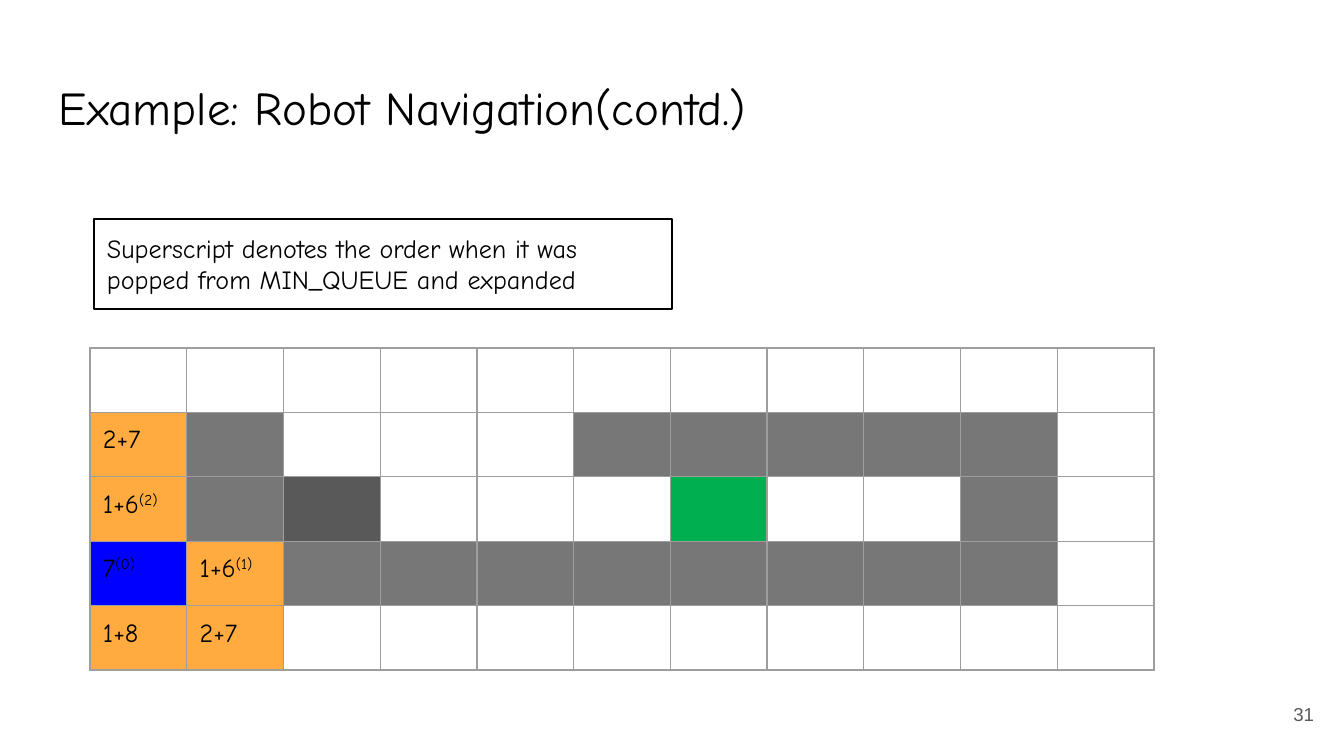
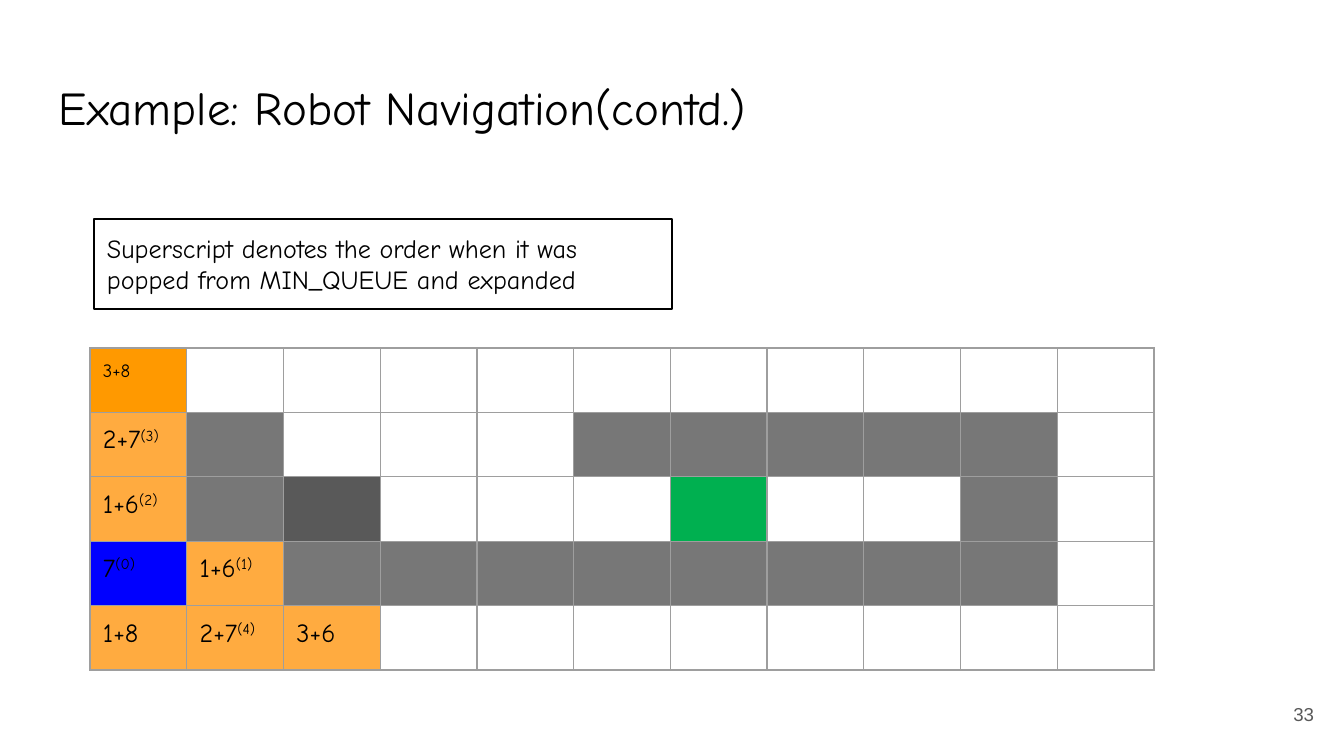
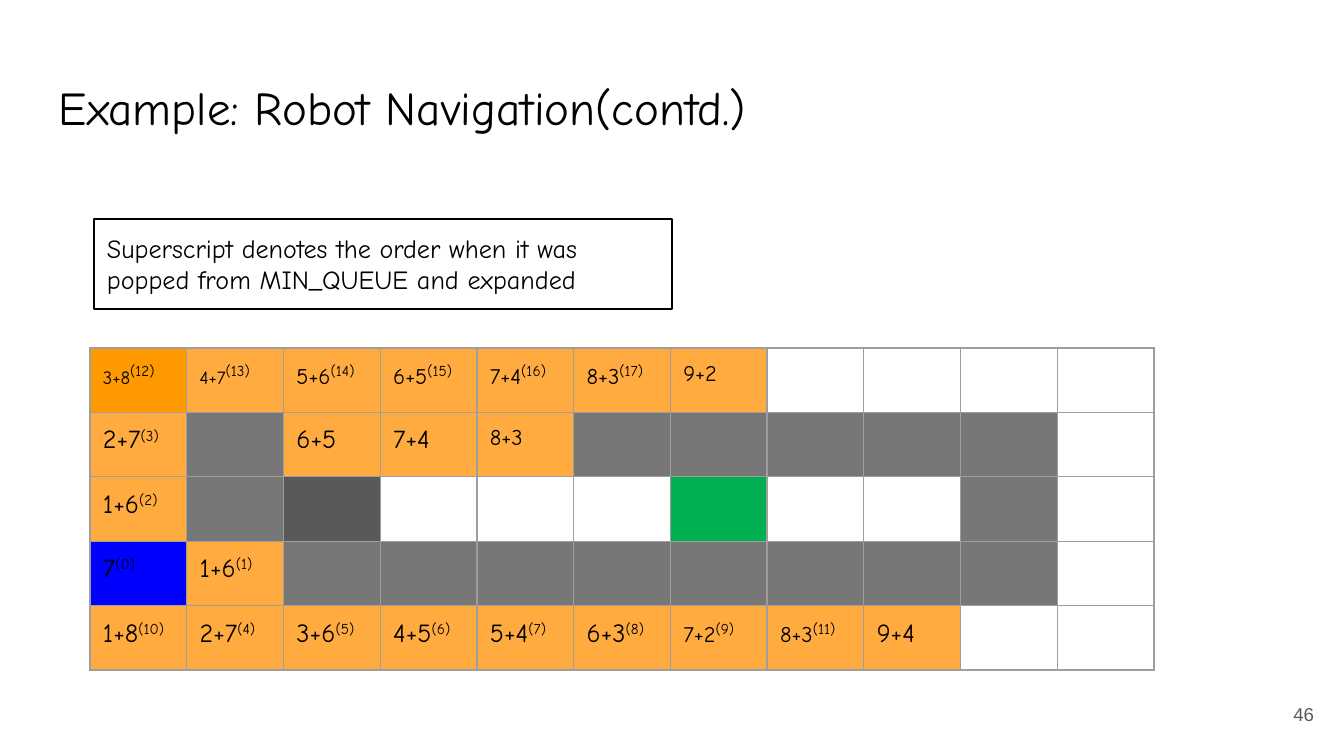
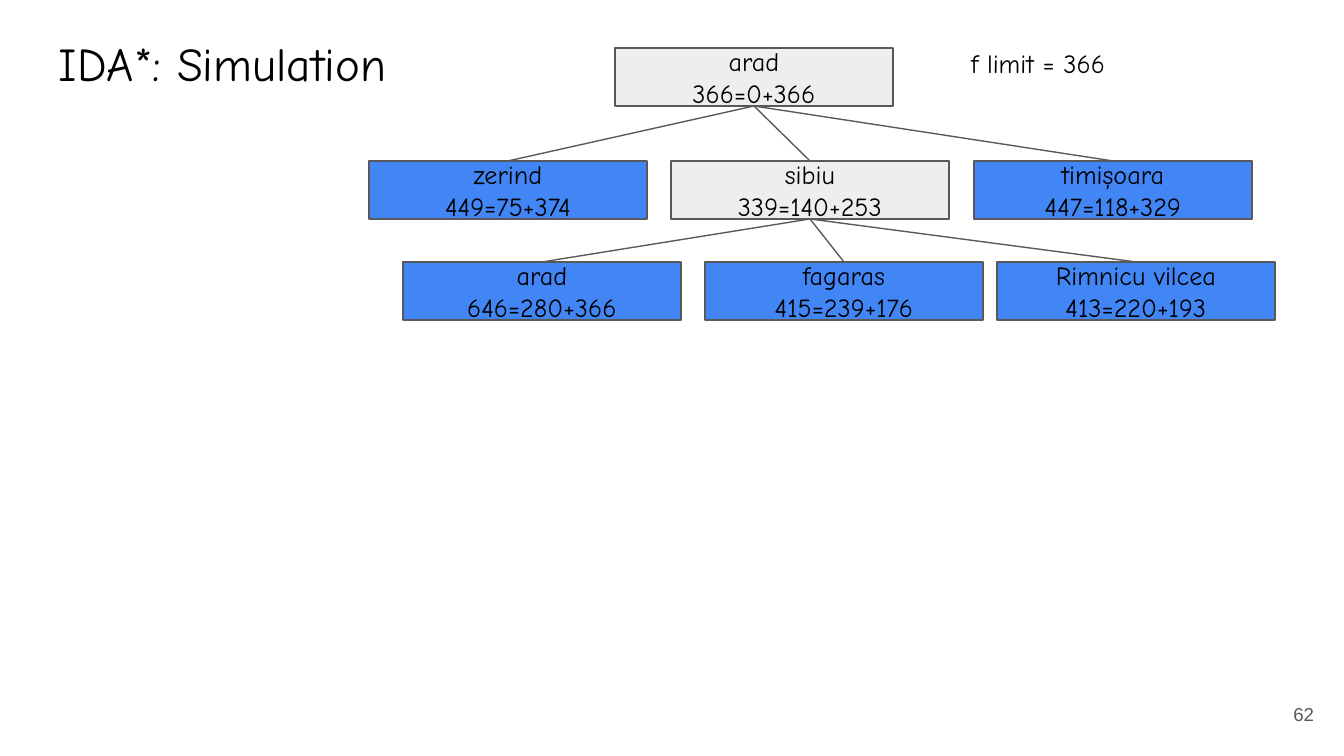
import pptx
import pptx.util
import pptx.dml.color
import pptx.enum.shapes
import pptx.enum.text
import pptx.oxml.ns
from lxml import etree

COLORS = {
    "black": "000000", "white": "FFFFFF", "line": "595959", "edge": "9E9E9E",
    "wall": "777777", "dark": "595959", "goal": "00B050", "start": "0000FF",
    "open": "FFAB40", "corner": "FF9900", "leaf": "4285F4", "path": "EEEEEE",
}
HAND, SANS = "Comic Neue", "Arial"
BODY = 14
PAD = 13
ALIGN = pptx.enum.text.PP_ALIGN
ANCHOR = pptx.enum.text.MSO_ANCHOR
RECT = pptx.enum.shapes.MSO_SHAPE.RECTANGLE

MAZE = [
    "...........",
    ".#...#####.",
    ".#d...g..#.",
    "s.########.",
    "...........",
]
KINDS = {".": "white", "#": "wall", "d": "dark", "g": "goal", "s": "start"}

# Each label is cost^order@size; "-" leaves a cell empty.
STEPS = [
    (31, ["", "2+7", "1+6^2", "7^0 1+6^1", "1+8 2+7"]),
    (33, ["3+8@10", "2+7^3", "1+6^2", "7^0 1+6^1", "1+8 2+7^4 3+6"]),
    (46, [
        "3+8^12@10 4+7^13@10 5+6^14@12 6+5^15@12 7+4^16@12 8+3^17@12 9+2@12",
        "2+7^3 - 6+5 7+4 8+3@12",
        "1+6^2",
        "7^0 1+6^1",
        "1+8^10 2+7^4 3+6^5 4+5^6 5+4^7 6+3^8 7+2^9@12 8+3^11@12 9+4",
    ]),
]

# key: (left, top, fill, parent, name, cost)
NODES = {
    "root": (246, 0, "path", None, "arad", "366=0+366"),
    "zerind": (0, 113, "leaf", "root", "zerind", "449=75+374"),
    "sibiu": (302, 113, "path", "root", "sibiu", "339=140+253"),
    "timis": (605, 113, "leaf", "root", "timișoara", "447=118+329"),
    "arad": (34, 214, "leaf", "sibiu", "arad", "646=280+366"),
    "fagaras": (336, 214, "leaf", "sibiu", "fagaras", "415=239+176"),
    "vilcea": (628, 214, "leaf", "sibiu", "Rimnicu vilcea", "413=220+193"),
}


def px(n):
    return pptx.util.Emu(round(n * 914400 / 134.4))


def rgb(name):
    return pptx.dml.color.RGBColor.from_string(COLORS[name])


def style(para, size=BODY, face=HAND, color="black", align=ALIGN.LEFT):
    para.alignment = align
    font = para.font
    font.size, font.name = pptx.util.Pt(size), face
    font.color.rgb = rgb(color)


def write(shape, lines, anchor=ANCHOR.TOP, **look):
    frame = shape.text_frame
    frame.word_wrap = True
    frame.vertical_anchor = anchor
    frame.margin_left = frame.margin_right = px(PAD)
    frame.margin_top = frame.margin_bottom = px(PAD)
    frame.text = "\n".join(lines)
    for para in frame.paragraphs:
        style(para, **look)


def label(slide, box, text, **look):
    write(slide.shapes.add_textbox(*map(px, box)), [text], **look)


def panel(slide, box, line, fill=None):
    shape = slide.shapes.add_shape(RECT, *map(px, box))
    shape.shadow.inherit = False
    if fill:
        shape.fill.solid()
        shape.fill.fore_color.rgb = rgb(fill)
    else:
        shape.fill.background()
    shape.line.color.rgb = rgb(line)
    shape.line.width = pptx.util.Pt(0.75)
    return shape


def page(deck, title, top, number):
    """Add a slide with its title and page number."""
    slide = deck.slides.add_slide(deck.slide_layouts[6])
    label(slide, (46, top, 1252, 85), title, size=25.2)
    label(slide, (1246, 685, 81, 58), str(number), anchor=ANCHOR.MIDDLE,
          size=10, face=SANS, color="line", align=ALIGN.RIGHT)
    return slide


def border(cell):
    props = cell._tc.get_or_add_tcPr()
    qn = pptx.oxml.ns.qn
    for side in ("a:lnL", "a:lnR", "a:lnT", "a:lnB"):
        line = etree.SubElement(props, qn(side), w=str(pptx.util.Pt(0.75)))
        fill = etree.SubElement(line, qn("a:solidFill"))
        etree.SubElement(fill, qn("a:srgbClr"), val=COLORS["edge"])


def mark(cell, text):
    """Write a cost with its order of expansion raised."""
    text, _, size = text.partition("@")
    cost, _, order = text.partition("^")
    para = cell.text_frame.paragraphs[0]
    style(para)
    if cost:
        run = para.add_run()
        run.text = cost
        if size:
            run.font.size = pptx.util.Pt(int(size))
    if order:
        run = para.add_run()
        run.text = f"({order})"
        run._r.get_or_add_rPr().set("baseline", "30000")


def paint(cell, text, kind):
    border(cell)
    cell.fill.solid()
    cell.fill.fore_color.rgb = rgb(kind)
    cell.margin_left = cell.margin_right = px(PAD)
    cell.margin_top = cell.margin_bottom = px(PAD)
    mark(cell, text)


def maze(slide, box, labels):
    rows, cols = len(MAZE), len(MAZE[0])
    table = slide.shapes.add_table(rows, cols, *map(px, box)).table
    table.first_row = table.horz_banding = False
    for col in table.columns:
        col.width = px(box[2] / cols)
    for r, row in enumerate(MAZE):
        table.rows[r].height = px(box[3] / rows)
        texts = labels[r].split()
        texts += ["-"] * (cols - len(texts))
        for c, (sign, text) in enumerate(zip(row, texts)):
            kind = KINDS[sign]
            if text != "-" and kind == "white":
                kind = "open" if r or c else "corner"
            paint(table.cell(r, c), text.strip("-"), kind)


def step(deck, number, labels):
    slide = page(deck, "Example: Robot Navigation(contd.)", 66, number)
    maze(slide, (90, 348, 1064, 322), labels)
    note = panel(slide, (94, 219, 578, 90), "black")
    write(note, ["Superscript denotes the order when it was "
                 "popped from MIN_QUEUE and expanded"])


def link(slide, upper, lower):
    line = slide.shapes.add_connector(
        pptx.enum.shapes.MSO_CONNECTOR.STRAIGHT, 0, 0, 0, 0)
    line.begin_connect(upper, 2)
    line.end_connect(lower, 0)
    line.line.color.rgb = rgb("line")
    line.line.width = pptx.util.Pt(0.75)
    etree.SubElement(line._element.spPr, pptx.oxml.ns.qn("a:effectLst"))


def tree(slide, left, top):
    made = {}
    for key, (x, y, fill, parent, name, cost) in NODES.items():
        node = panel(slide, (left + x, top + y, 278, 58), "line", fill)
        write(node, [name, cost], anchor=ANCHOR.MIDDLE, align=ALIGN.CENTER)
        made[key] = node
        if parent:
            link(slide, made[parent], node)


def search(deck):
    slide = page(deck, "IDA*: Simulation", 21, 62)
    tree(slide, 369, 48)
    label(slide, (958, 34, 293, 59), "f limit = 366")


def main():
    deck = pptx.Presentation()
    deck.slide_width, deck.slide_height = px(1344), px(756)
    for number, labels in STEPS:
        step(deck, number, labels)
    search(deck)
    deck.save("out.pptx")


if __name__ == "__main__":
    main()
